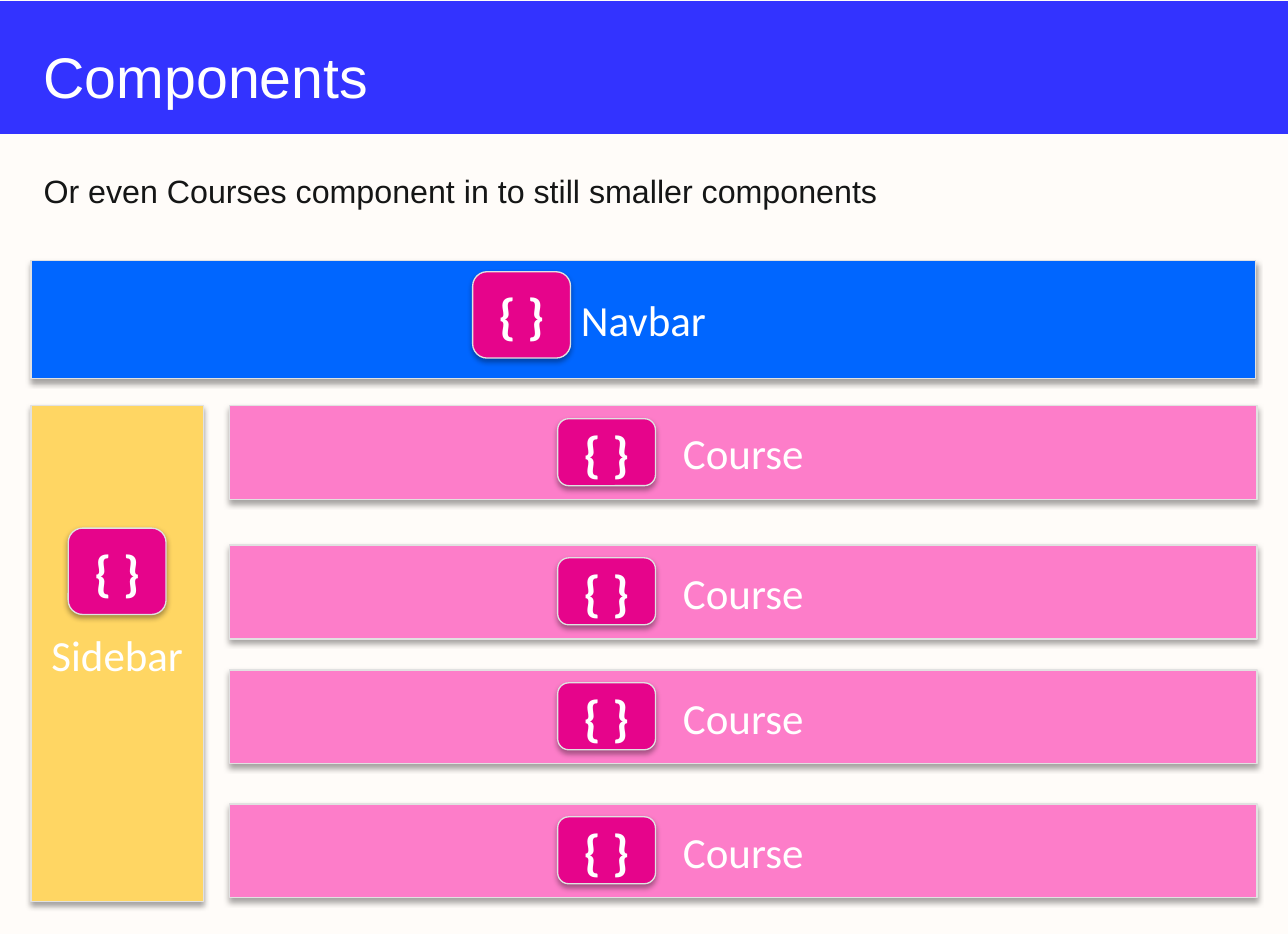
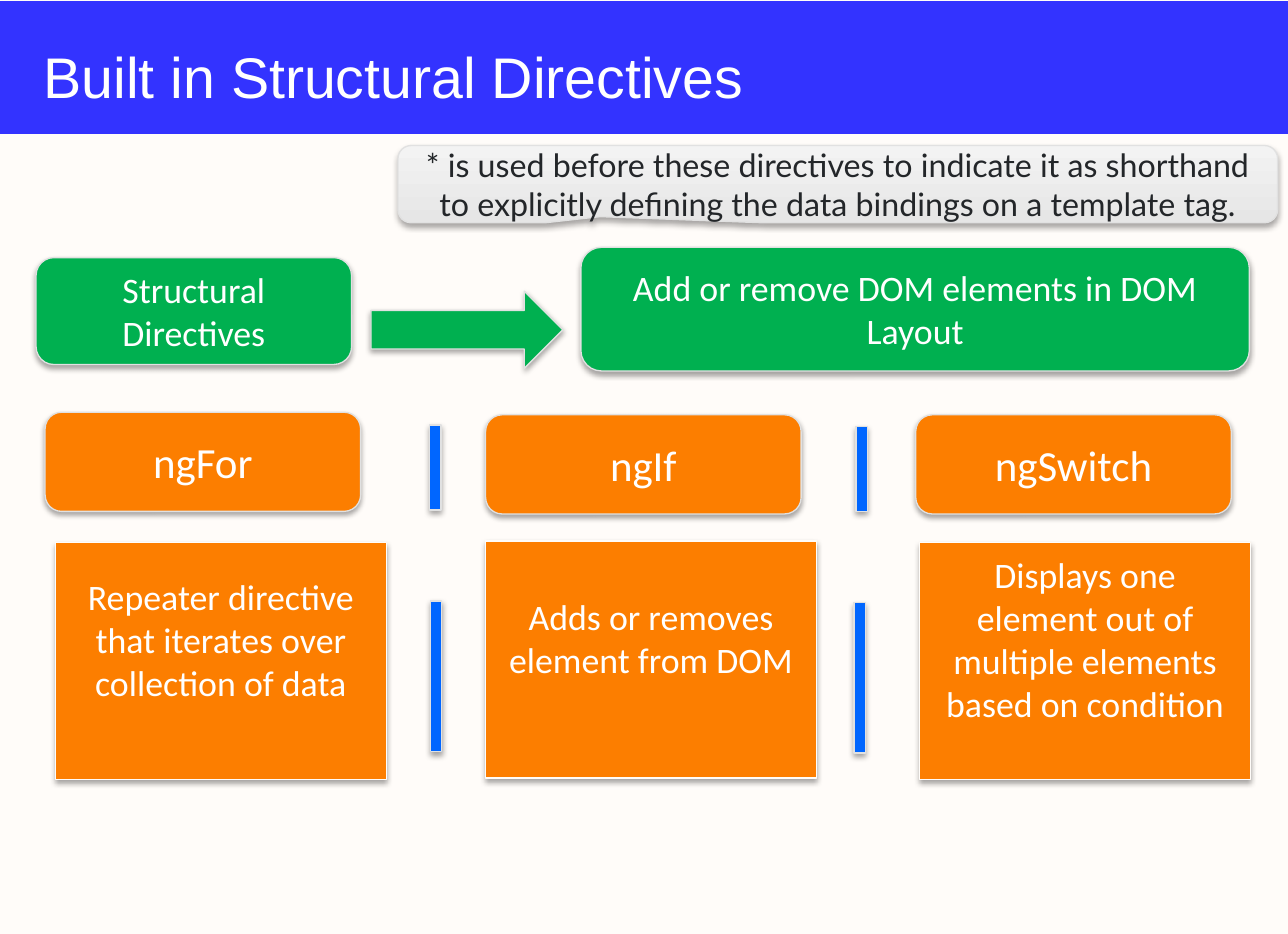
from lxml import etree
from pptx import Presentation
from pptx.dml.color import RGBColor
from pptx.enum.shapes import MSO_SHAPE
from pptx.enum.text import MSO_ANCHOR, PP_ALIGN
from pptx.oxml.ns import nsdecls, qn
from pptx.util import Pt

PX = 9144  # 100 px to the inch
RECT = MSO_SHAPE.RECTANGLE
ROUNDED = MSO_SHAPE.ROUNDED_RECTANGLE
ARROW = MSO_SHAPE.RIGHT_ARROW
MINUS = MSO_SHAPE.MATH_MINUS
CALLOUT = MSO_SHAPE.ROUNDED_RECTANGULAR_CALLOUT
MIDDLE = MSO_ANCHOR.MIDDLE
CENTER = PP_ALIGN.CENTER

CREAM, WHITE, INK, SLATE = "FFFCF9", "FFFFFF", "151616", "232629"
EDGE, BAND_BLUE, BLUE, YELLOW = "E1E1E1", "3333FF", "0066FF", "FFD663"
PINK, MAGENTA, GREEN, ORANGE = "FD7DC9", "E6048B", "00B050", "FC7E00"
GRAY_LOW, GRAY_HIGH = "E6E6E6", "F3F3F3"

SHADOW = (
    f'<a:effectLst {nsdecls("a")}>'
    '<a:outerShdw blurRad="40000" dist="23000" dir="5400000" rotWithShape="0">'
    '<a:srgbClr val="000000"><a:alpha val="35000"/></a:srgbClr>'
    "</a:outerShdw></a:effectLst>"
)


def color(value):
    return RGBColor.from_string(value)


class Slides:
    def __init__(self, width, height):
        self.deck = Presentation()
        self.deck.slide_width, self.deck.slide_height = width * PX, height * PX
        background = self.deck.slide_master.background.fill
        background.solid()
        background.fore_color.rgb = color(CREAM)
        self.page = None

    def start(self, title):
        """Add a page with the title band."""
        self.page = self.deck.slides.add_slide(self.deck.slide_layouts[6])
        band = self.page.shapes.add_shape(RECT, 0, PX, 1000 * PX, 103 * PX)
        band.shadow.inherit = False
        band.fill.solid()
        band.fill.fore_color.rgb = color(BAND_BLUE)
        band.line.fill.background()
        self.text(24, 27, 957, 60, title, 32, WHITE)

    def set_text(self, shape, text, size, ink, font, bold=False):
        frame = shape.text_frame
        frame.word_wrap = True
        para = frame.paragraphs[0]
        para.text = text
        para.font.size = Pt(size)
        para.font.name = font
        para.font.bold = bold
        para.font.color.rgb = color(ink)
        return frame

    def text(self, x, y, w, h, text, size, ink):
        box = self.page.shapes.add_textbox(x * PX, y * PX, w * PX, h * PX)
        self.set_text(box, text, size, ink, "Arial")

    def block(self, kind, x, y, w, h, fill, edge=EDGE):
        """Add a filled shape with a thin edge and a soft shadow."""
        shape = self.page.shapes.add_shape(kind, x * PX, y * PX, w * PX, h * PX)
        shape.fill.solid()
        shape.fill.fore_color.rgb = color(fill)
        shape.line.color.rgb = color(edge)
        shape.line.width = Pt(0.75)
        shape.shadow.inherit = False
        effects = shape._element.spPr.find(qn("a:effectLst"))
        effects.getparent().replace(effects, etree.fromstring(SHADOW))
        return shape

    def label(self, kind, x, y, w, h, fill, text, size=24, edge=EDGE,
              ink=WHITE, font="Calibri", bold=False):
        """Add a block with centred text."""
        shape = self.block(kind, x, y, w, h, fill, edge)
        frame = self.set_text(shape, text, size, ink, font, bold)
        frame.vertical_anchor = MIDDLE
        frame.paragraphs[0].alignment = CENTER
        return shape

    def badge(self, x, y, h):
        self.label(ROUNDED, x, y, 76, h, MAGENTA, "{ }", 28, bold=True)

    def divider(self, x, y, length):
        """Add an upright bar from a minus sign turned a quarter."""
        self.block(MINUS, x, y, length, 38, BLUE).rotation = 90

    def note(self, x, y, w, h, text):
        """Add a gray gradient callout."""
        shape = self.label(CALLOUT, x, y, w, h, GRAY_LOW, text, 18,
                           ink=SLATE, font="Lato")
        for index, value in enumerate((-0.27, 0.42, 0.17)):
            shape.adjustments[index] = value
        shape.fill.gradient()
        shape.fill.gradient_angle = 90
        for stop, shade in zip(shape.fill.gradient_stops, (GRAY_LOW, GRAY_HIGH)):
            stop.color.rgb = color(shade)


def components(slides):
    slides.start("Components")
    slides.text(24, 128, 957, 40,
                "Or even Courses component in to still smaller components", 18, INK)
    slides.label(RECT, 24, 202, 951, 92, BLUE, "Navbar")
    slides.badge(367, 211, 67)
    slides.label(RECT, 24, 315, 134, 385, YELLOW, "Sidebar")
    slides.badge(53, 410, 67)
    for top in (315, 423, 520, 624):
        slides.label(RECT, 178, top, 798, 73, PINK, "Course")
        slides.badge(433, top + 10, 52)


def directives(slides):
    slides.start("Built in Structural Directives")
    slides.label(ROUNDED, 451, 192, 519, 96, GREEN,
                 "Add or remove DOM elements in DOM Layout", 20)
    slides.label(ROUNDED, 28, 200, 245, 83, GREEN, "Structural Directives", 20)
    slides.block(ARROW, 288, 226, 149, 60, GREEN)

    columns = (
        ("ngFor", 35, 320, 43, 421,
         "Repeater directive that iterates over collection of data"),
        ("ngIf", 377, 322, 377, 420, "Adds or removes element from DOM"),
        ("ngSwitch", 711, 322, 714, 421,
         "Displays one element out of multiple elements based on condition"),
    )
    for name, name_x, name_y, use_x, use_y, use in columns:
        slides.label(ROUNDED, name_x, name_y, 245, 77, ORANGE, name)
        box = slides.label(RECT, use_x, use_y, 257, 184, ORANGE, use, 20, CREAM)
        box.text_frame.margin_bottom = 39 * PX

    for x, y, length in ((259, 506, 159), (588, 507, 159),
                         (624, 345, 90), (293, 344, 90)):
        slides.divider(x, y, length)
    slides.note(309, 113, 683, 60,
                "* is used before these directives to indicate it as shorthand "
                "to explicitly defining the data bindings on a template tag.")


def main():
    slides = Slides(1000, 725)
    components(slides)
    directives(slides)
    slides.deck.save("out.pptx")


if __name__ == "__main__":
    main()
